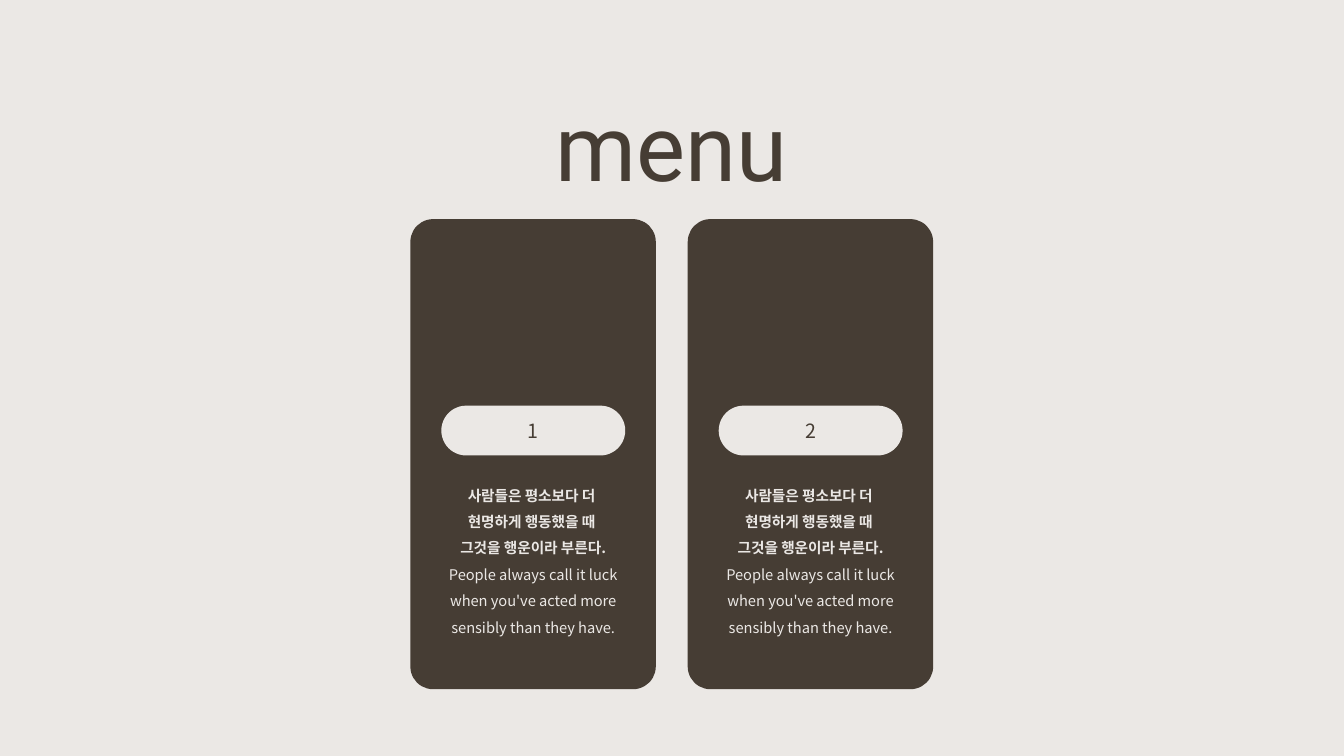
from copy import deepcopy

from lxml.etree import SubElement
from pptx import Presentation
from pptx.dml.color import RGBColor
from pptx.enum.shapes import MSO_SHAPE as Shape
from pptx.enum.text import MSO_ANCHOR as Anchor, MSO_AUTO_SIZE as AutoSize, PP_ALIGN as Align
from pptx.oxml.ns import qn
from pptx.util import Cm, Pt

KOREAN = "사람들은 평소보다 더 \n현명하게 행동했을 때 \n그것을 행운이라 부른다."
ENGLISH = "People always call it luck when you've acted more sensibly than they have."


def rgb(value):
    """Turn a hex string into a colour."""
    return RGBColor.from_string(value)


def write(p, text, size, color, font="Noto Sans CJK KR", bold=False, spacing=1.0):
    """Fill a centred paragraph with formatted text."""
    p.text = text
    p.alignment = Align.CENTER
    p.line_spacing = spacing
    for r in p.runs:
        r.font.size = Pt(size)
        r.font.bold = bold
        r.font.name = font
        r.font.color.rgb = rgb(color)
        SubElement(r.font._element, qn("a:ea"), typeface=font)
    for line_break in p._p.findall(qn("a:br")):
        line_break.append(deepcopy(p.runs[0].font._element))


class MenuSlide:
    """Hold the style and the current slide."""

    dark = "463D34"
    light = "EBE8E5"

    def __init__(self, prs):
        """Add a title-only slide with a plain background."""
        self.s = prs.slides.add_slide(prs.slide_layouts[5])
        self.s.background.fill.solid()
        self.s.background.fill.fore_color.rgb = rgb(self.light)

    def title(self, text, x, y, w, h):
        """Place and format the title."""
        sp = self.s.shapes.title
        sp.left, sp.top, sp.width, sp.height = Cm(x), Cm(y), Cm(w), Cm(h)
        tf = sp.text_frame
        tf.auto_size = AutoSize.NONE
        tf.vertical_anchor = Anchor.TOP
        write(tf.paragraphs[0], text, 66, self.dark, font="Roboto")

    def panel(self, x, y, w, h, color, radius):
        """Add a rounded rectangle of one colour."""
        sp = self.s.shapes.add_shape(Shape.ROUNDED_RECTANGLE, Cm(x), Cm(y), Cm(w), Cm(h))
        sp.adjustments[0] = radius
        sp.shadow.inherit = False
        sp.fill.solid()
        sp.fill.fore_color.rgb = rgb(color)
        sp.line.color.rgb = rgb(color)
        sp.line.width = Pt(1)
        return sp

    def pill(self, text, x, y, w, h):
        """Add a light pill with a number."""
        tf = self.panel(x, y, w, h, self.light, 0.5).text_frame
        tf.vertical_anchor = Anchor.MIDDLE
        write(tf.paragraphs[0], text, 14, self.dark)

    def quote(self, x, y, w, h):
        """Add the quote in both languages."""
        tf = self.s.shapes.add_textbox(Cm(x), Cm(y), Cm(w), Cm(h)).text_frame
        tf.word_wrap = True
        write(tf.paragraphs[0], KOREAN, 10.5, self.light, bold=True, spacing=1.5)
        write(tf.add_paragraph(), ENGLISH, 10.5, self.light, spacing=1.5)

    def card(self, number, x):
        """Add one menu card with its pill and quote."""
        self.panel(x, 5.54, 6.15, 11.81, self.dark, 0.09)
        self.pill(str(number), x + 0.78, 10.24, 4.6, 1.22)
        self.quote(x + 0.63, 11.91, 4.9, 4.24)


def main():
    """Build and save the slide."""
    prs = Presentation()
    prs.slide_width, prs.slide_height = Cm(33.87), Cm(19.05)
    menu = MenuSlide(prs)
    menu.title("menu", 4.39, 2.13, 25.07, 3.07)
    for i in range(2):
        menu.card(i + 1, 10.36 + 6.99 * i)
    prs.save("out.pptx")


if __name__ == "__main__":
    main()
